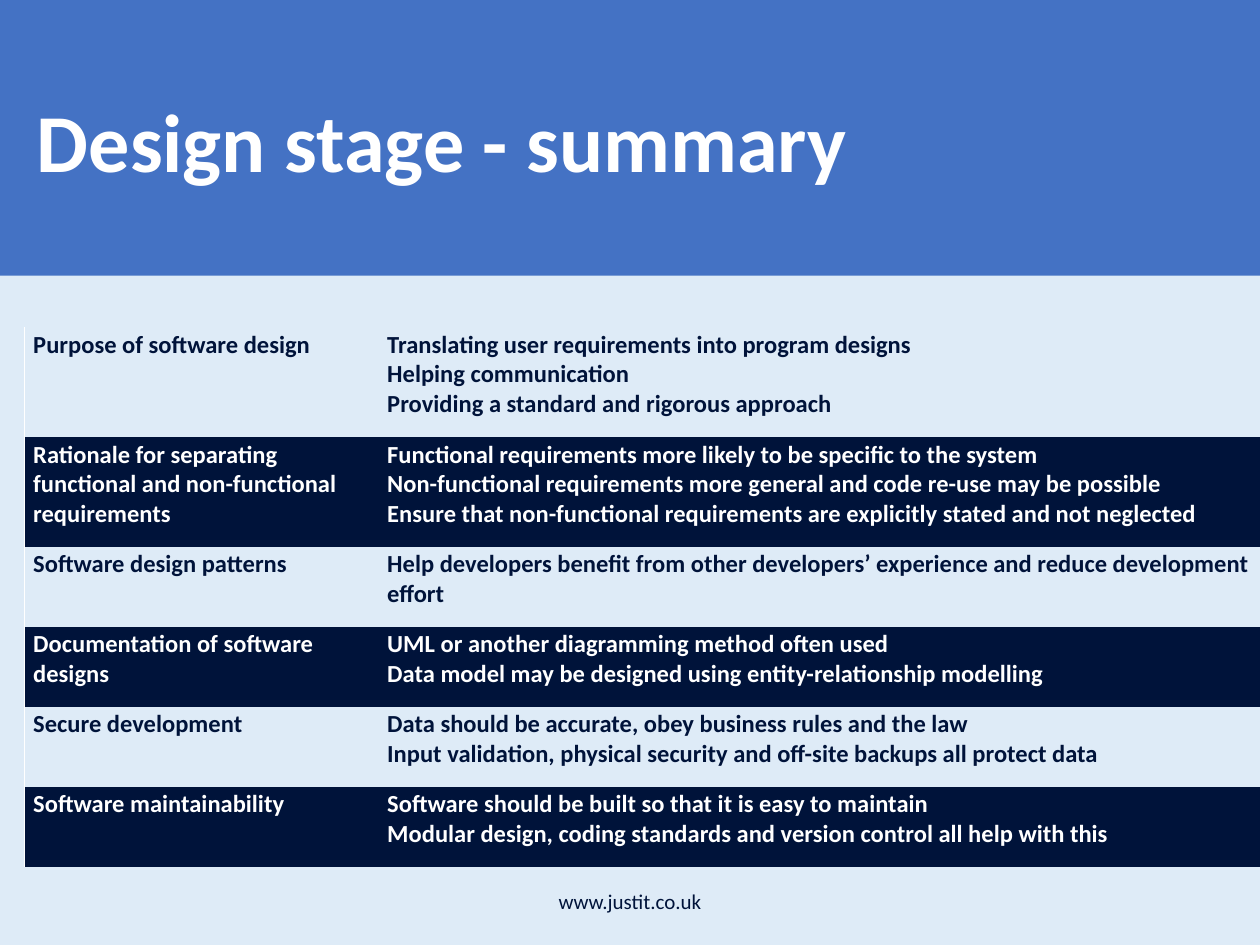
from dataclasses import dataclass

from lxml import etree
from pptx import Presentation
from pptx.dml.color import RGBColor
from pptx.enum.shapes import MSO_SHAPE
from pptx.enum.text import MSO_ANCHOR, PP_ALIGN
from pptx.oxml.ns import qn
from pptx.util import Pt

RECTANGLE = MSO_SHAPE.RECTANGLE
BOTTOM, MIDDLE = MSO_ANCHOR.BOTTOM, MSO_ANCHOR.MIDDLE
CENTER = PP_ALIGN.CENTER
NO_GRID_STYLE = "{2D5ABB26-0587-4C30-8999-92F81FD0307C}"


@dataclass(frozen=True)
class Theme:
    background: str = "DEEBF7"
    banner: str = "4472C4"
    dark: str = "00133A"
    light: str = "FFFFFF"
    font: str = "Calibri"
    title_size: float = 47
    table_size: float = 14
    footer_size: float = 12


@dataclass(frozen=True)
class Box:
    left: float
    top: float
    width: float
    height: float

    def lengths(self) -> tuple:
        return Pt(self.left), Pt(self.top), Pt(self.width), Pt(self.height)


@dataclass(frozen=True)
class SummaryRow:
    topic: str
    points: tuple[str, ...]
    height: float


THEME = Theme()
TALL, SHORT = 62.8, 45.7
HEADER_HEIGHT = 36
COLUMN_WIDTHS = (202.3, 503.5)

SUMMARY = (
    SummaryRow("Purpose of software design", (
        "Translating user requirements into program designs",
        "Helping communication",
        "Providing a standard and rigorous approach"), TALL),
    SummaryRow("Rationale for separating functional and non-functional requirements", (
        "Functional requirements more likely to be specific to the system",
        "Non-functional requirements more general and code re-use may be possible",
        "Ensure that non-functional requirements are explicitly stated and not neglected"), TALL),
    SummaryRow("Software design patterns", (
        "Help developers benefit from other developers’ experience and reduce development effort",),
        SHORT),
    SummaryRow("Documentation of software designs", (
        "UML or another diagramming method often used",
        "Data model may be designed using entity-relationship modelling"), SHORT),
    SummaryRow("Secure development", (
        "Data should be accurate, obey business rules and the law",
        "Input validation, physical security and off-site backups all protect data"), SHORT),
    SummaryRow("Software maintainability", (
        "Software should be built so that it is easy to maintain",
        "Modular design, coding standards and version control all help with this"), SHORT),
)


def add_run(paragraph, text: str, size: float, color: str, bold: bool = False) -> None:
    run = paragraph.add_run()
    run.text = text
    run.font.name = THEME.font
    run.font.size = Pt(size)
    run.font.bold = bold
    run.font.color.rgb = RGBColor.from_string(color)


def add_banner(slide, box: Box) -> None:
    shape = slide.shapes.add_shape(RECTANGLE, *box.lengths())
    shape.shadow.inherit = False
    shape.fill.solid()
    shape.fill.fore_color.rgb = RGBColor.from_string(THEME.banner)
    shape.line.fill.background()


def add_text_box(slide, box: Box, anchor: MSO_ANCHOR):
    """Add a wrapping text box and return its first paragraph."""
    frame = slide.shapes.add_textbox(*box.lengths()).text_frame
    frame.word_wrap = True
    frame.vertical_anchor = anchor
    return frame.paragraphs[0]


def add_left_border(cell, color: str, width: float) -> None:
    properties = cell._tc.get_or_add_tcPr()
    line = etree.Element(qn("a:lnL"), w=str(Pt(width)))
    fill = etree.SubElement(line, qn("a:solidFill"))
    etree.SubElement(fill, qn("a:srgbClr"), val=color)
    properties.insert(0, line)


def fill_cell(cell, lines: tuple[str, ...], is_dark: bool) -> None:
    cell.margin_left = cell.margin_right = Pt(5)
    cell.margin_top, cell.margin_bottom = Pt(1.5), Pt(10)
    if is_dark:
        cell.fill.solid()
        cell.fill.fore_color.rgb = RGBColor.from_string(THEME.dark)
    else:
        cell.fill.background()
    frame = cell.text_frame
    for index, line in enumerate(lines):
        paragraph = frame.add_paragraph() if index else frame.paragraphs[0]
        add_run(paragraph, line, THEME.table_size,
                THEME.light if is_dark else THEME.dark, bold=True)


def add_summary_table(slide, left: float, top: float) -> None:
    """Add the summary below an empty header row, with every second row dark."""
    heights = (HEADER_HEIGHT, *(row.height for row in SUMMARY))
    box = Box(left, top, sum(COLUMN_WIDTHS), sum(heights))
    frame = slide.shapes.add_table(len(heights), len(COLUMN_WIDTHS), *box.lengths())
    table = frame.table
    table.first_row = table.horz_banding = False
    table._tbl.tblPr.find(qn("a:tableStyleId")).text = NO_GRID_STYLE
    for column, width in zip(table.columns, COLUMN_WIDTHS):
        column.width = Pt(width)
    for table_row, height in zip(table.rows, heights):
        table_row.height = Pt(height)
    for cell in table.rows[0].cells:
        cell.fill.background()
    for index, row in enumerate(SUMMARY):
        is_dark = index % 2 == 1
        topic_cell, points_cell = table.rows[index + 1].cells
        fill_cell(topic_cell, (row.topic,), is_dark)
        fill_cell(points_cell, row.points, is_dark)
        add_left_border(topic_cell, THEME.light, 0.75)


def main() -> None:
    presentation = Presentation()
    presentation.slide_width, presentation.slide_height = Pt(720), Pt(540)
    slide = presentation.slides.add_slide(presentation.slide_layouts[6])
    slide.background.fill.solid()
    slide.background.fill.fore_color.rgb = RGBColor.from_string(THEME.background)

    add_banner(slide, Box(0, 0, 720, 157.5))

    title = add_text_box(slide, Box(14, 39, 482, 73.5), BOTTOM)
    title.line_spacing = 0.9
    add_run(title, "Design stage - summary", THEME.title_size, THEME.light, bold=True)

    footer = add_text_box(slide, Box(238.5, 500.5, 243, 29), MIDDLE)
    footer.alignment = CENTER
    footer.space_after = Pt(6)
    add_run(footer, "www.justit.co.uk", THEME.footer_size, THEME.dark)

    add_summary_table(slide, 14, 151)
    presentation.save("out.pptx")


if __name__ == "__main__":
    main()
